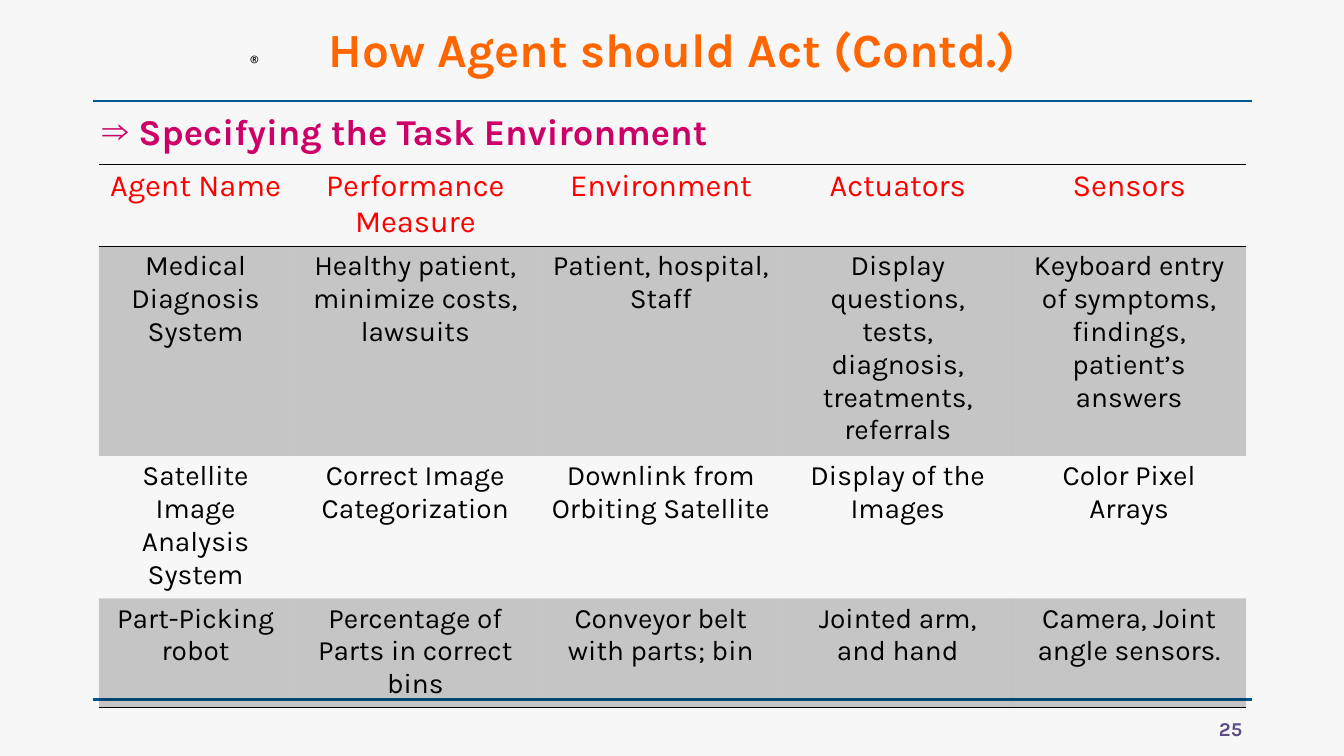
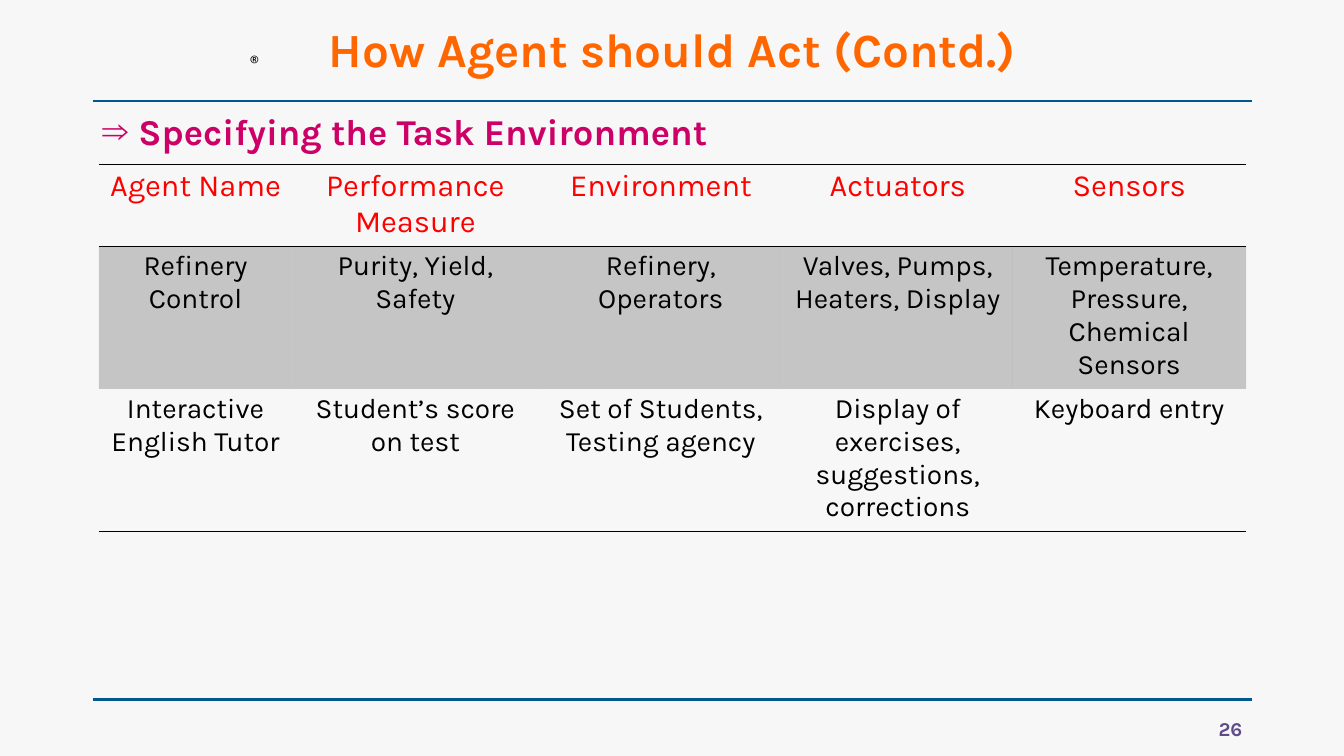
"""Builds two slides that specify the task environments of agents."""
import pptx
import pptx.dml.color
import pptx.enum.shapes
import pptx.enum.text
import pptx.oxml.ns
import pptx.util
from lxml import etree

Inches, Pt = pptx.util.Inches, pptx.util.Pt
RGB = pptx.dml.color.RGBColor
ALIGN, ANCHOR = pptx.enum.text.PP_ALIGN, pptx.enum.text.MSO_ANCHOR
qn = pptx.oxml.ns.qn

PAPER = RGB(0xF7, 0xF7, 0xF7)
BLUE = RGB(0x00, 0x58, 0x90)
ORANGE = RGB(0xFF, 0x66, 0x00)
MAGENTA = RGB(0xCC, 0x00, 0x66)
PURPLE = RGB(0x5D, 0x4A, 0x89)
RED = RGB(0xFF, 0x00, 0x00)
BLACK = RGB(0x00, 0x00, 0x00)
FONT = "Karla"

LEFT, WIDTH = 0.92, 11.5
RULES = (1, 6.94)
TABLE_LEFT, TABLE_TOP = 0.98, 1.63
COLUMNS = (1.92, 2.44, 2.43, 2.27, 2.32)
MIN_ROW, CELL_MARGIN = 0.41, 0.04

TITLE = "How Agent should Act (Contd.)"
SUBTITLE = " Specifying the Task Environment"
HEADER = ("Agent Name", "Performance Measure", "Environment", "Actuators", "Sensors")
SLIDES = [
    {"number": 25, "agents": [
        ("Medical Diagnosis System", "Healthy patient, minimize costs, lawsuits",
         "Patient, hospital, Staff",
         "Display questions, tests, diagnosis, treatments, referrals",
         "Keyboard entry of symptoms, findings, patient’s answers"),
        ("Satellite Image Analysis System", "Correct Image Categorization",
         "Downlink from Orbiting Satellite", "Display of the Images",
         "Color Pixel Arrays"),
        ("Part-Picking robot", "Percentage of Parts in correct bins",
         "Conveyor belt with parts; bin", "Jointed arm, and hand",
         "Camera, Joint angle sensors."),
    ]},
    {"number": 26, "agents": [
        ("Refinery Control", "Purity, Yield, Safety", "Refinery, Operators",
         "Valves, Pumps, Heaters, Display",
         "Temperature, Pressure, Chemical Sensors"),
        ("Interactive English Tutor", "Student’s score on test",
         "Set of Students, Testing agency",
         "Display of exercises, suggestions, corrections", "Keyboard entry"),
    ]},
]


def write(tf, text, size, color, align, bold=False, font=FONT):
    p = tf.paragraphs[0]
    p.alignment = align
    r = p.add_run()
    r.text = text
    r.font.name, r.font.size, r.font.bold = font, Pt(size), bold
    r.font.color.rgb = color
    return p


def place(sp, left, top, width, height):
    sp.left, sp.top, sp.width, sp.height = map(Inches, (left, top, width, height))


def fill_master(master, slide):
    master.background.fill.solid()
    master.background.fill.fore_color.rgb = PAPER
    parts = []
    for y in RULES:
        rule = slide.shapes.add_connector(
            pptx.enum.shapes.MSO_CONNECTOR.STRAIGHT,
            Inches(LEFT), Inches(y), Inches(LEFT + WIDTH), Inches(y))
        rule.line.color.rgb = BLUE
        rule.line.width = Pt(1.5)
        etree.SubElement(rule.element.spPr, qn("a:effectLst"))
        parts.append(rule)
    mark = slide.shapes.add_textbox(Inches(2.38), Inches(0.43), Inches(0.3), Inches(0.4))
    mark.text_frame.word_wrap = False
    write(mark.text_frame, "®", 18, BLACK, ALIGN.LEFT, font="Calibri")
    parts.append(mark)
    for i, sp in enumerate(parts):
        sp.element[0][0].set("id", str(100 + i))
        master.shapes.element.append(sp.element)


def add_headings(slide, number):
    title, body = slide.shapes.title, slide.placeholders[1]
    place(title, LEFT, 0.11, WIDTH, 0.82)
    title.text_frame.vertical_anchor = ANCHOR.MIDDLE
    write(title.text_frame, TITLE, 34, ORANGE, ALIGN.CENTER, True).line_spacing = 0.9

    place(body, LEFT, 1.03, WIDTH, 5.8)
    p = write(body.text_frame, SUBTITLE, 26, MAGENTA, ALIGN.JUSTIFY, True)
    p.space_before = Pt(10)
    pPr = p._p.get_or_add_pPr()
    pPr.set("marL", str(Inches(0.25)))
    pPr.set("indent", str(Inches(-0.25)))
    etree.SubElement(pPr, qn("a:buChar"), char="⇒")

    sp = slide.shapes.add_textbox(Inches(11.48), Inches(7.01), Inches(0.94), Inches(0.43))
    sp.text_frame.word_wrap = True
    sp.text_frame.vertical_anchor = ANCHOR.MIDDLE
    write(sp.text_frame, str(number), 14, PURPLE, ALIGN.RIGHT, True)


def add_border(cell, side, visible=True):
    ln = etree.SubElement(cell._tc.get_or_add_tcPr(), qn("a:" + side), w=str(Pt(1)))
    if visible:
        fill = etree.SubElement(ln, qn("a:solidFill"))
        etree.SubElement(fill, qn("a:srgbClr"), val=str(BLACK))
    else:
        etree.SubElement(ln, qn("a:noFill"))


def shade(cell):
    cell.fill.solid()
    cell.fill.fore_color.rgb = BLACK
    color = cell._tc.tcPr.find(qn("a:solidFill")).find(qn("a:srgbClr"))
    etree.SubElement(color, qn("a:alpha"), val="20000")


def add_agents(slide, agents):
    rows = [HEADER] + agents
    frame = slide.shapes.add_table(
        len(rows), len(COLUMNS), Inches(TABLE_LEFT), Inches(TABLE_TOP),
        Inches(sum(COLUMNS)), Inches(len(rows) * MIN_ROW))
    table = frame.table
    table.horz_banding = table.first_row = False
    table._tbl.tblPr.find(qn("a:tableStyleId")).text = "{2D5ABB26-0587-4C30-8999-92F81FD0307C}"
    for column, width in zip(table.columns, COLUMNS):
        column.width = Inches(width)
    for i, texts in enumerate(rows):
        size, color = (20, BLACK) if i else (22, RED)
        for j, text in enumerate(texts):
            cell = table.cell(i, j)
            cell.margin_top = cell.margin_bottom = Inches(CELL_MARGIN)
            write(cell.text_frame, text, size, color, ALIGN.CENTER)
            if i == 0:
                add_border(cell, "lnT")
            add_border(cell, "lnB", i in (0, len(rows) - 1))
            if i % 2:
                shade(cell)
            else:
                cell.fill.background()


def main():
    prs = pptx.Presentation()
    prs.slide_width, prs.slide_height = Inches(13.33), Inches(7.5)
    for content in SLIDES:
        slide = prs.slides.add_slide(prs.slide_layouts[1])
        if content is SLIDES[0]:
            fill_master(prs.slide_master, slide)
        add_headings(slide, content["number"])
        add_agents(slide, content["agents"])
    prs.save("out.pptx")


if __name__ == "__main__":
    main()
